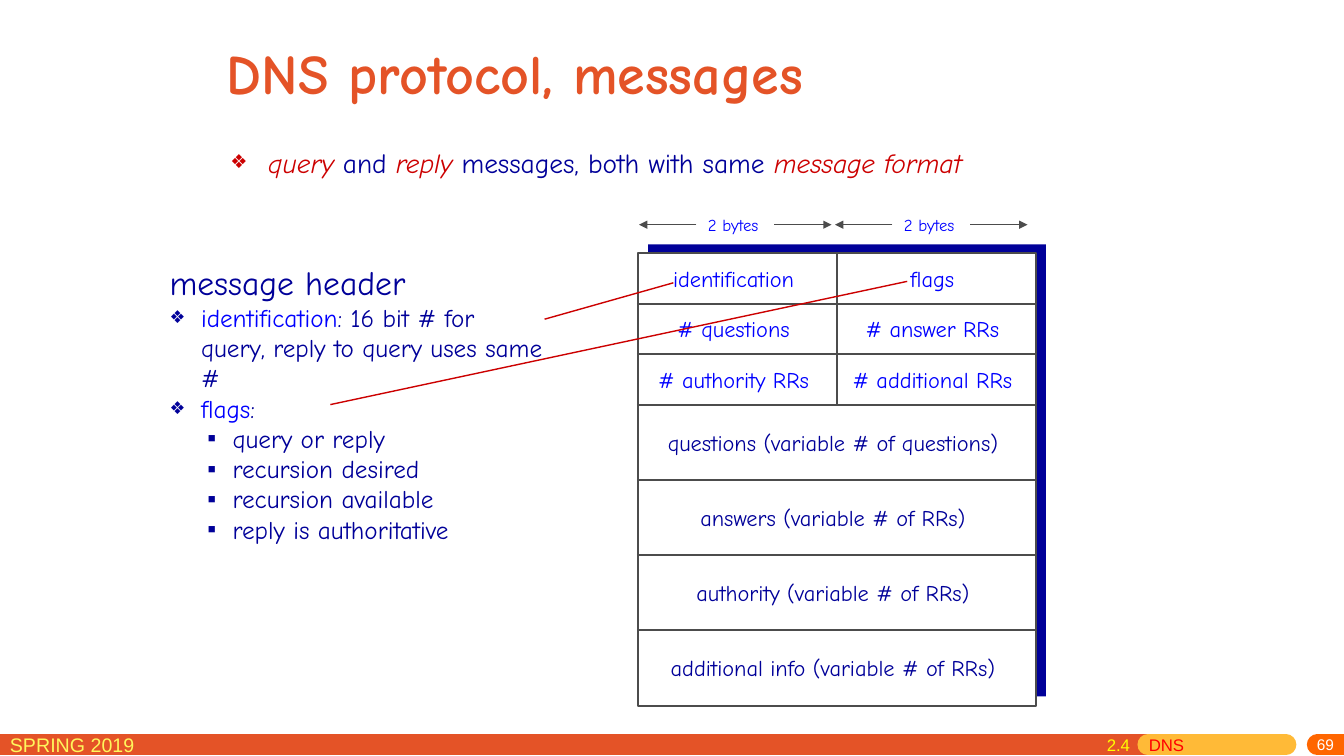
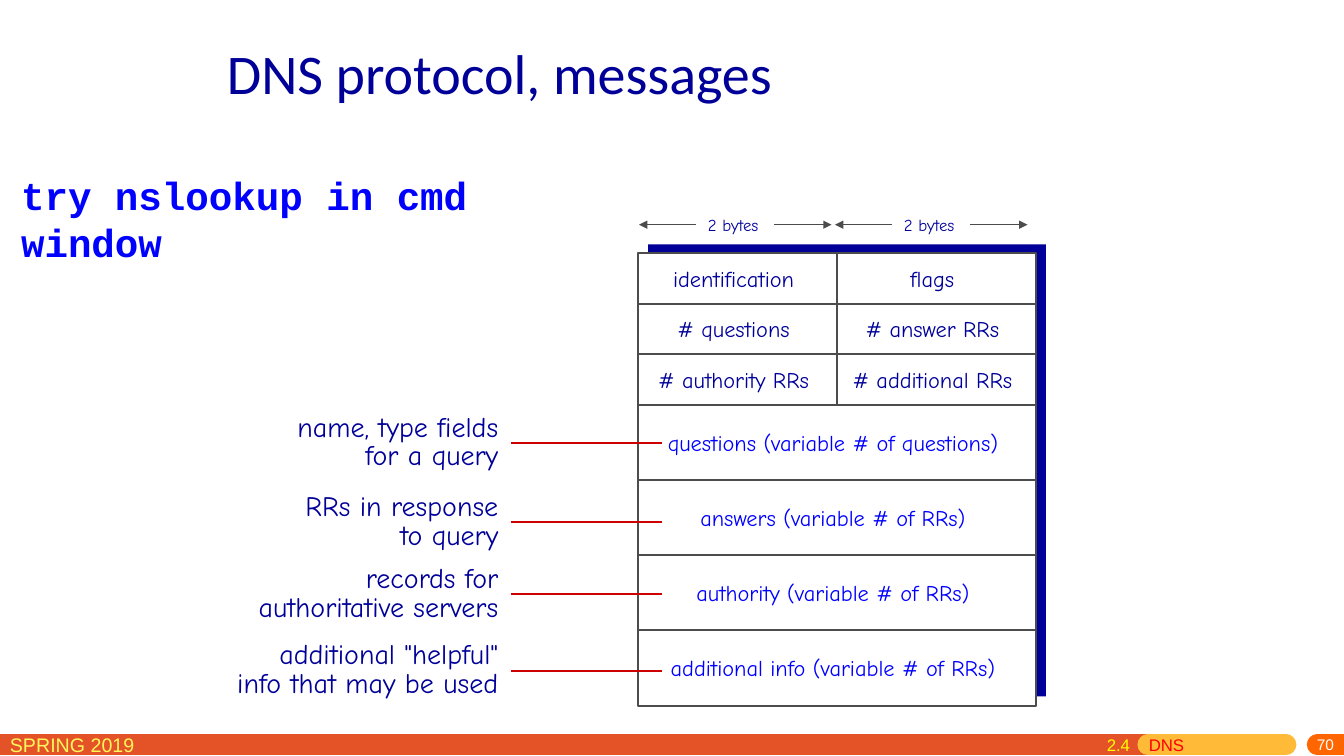
"""Builds two slides on the DNS message format."""
from lxml import etree
from pptx import Presentation
from pptx.dml.color import RGBColor
from pptx.enum.shapes import MSO_CONNECTOR, MSO_SHAPE
from pptx.enum.text import MSO_ANCHOR, PP_ALIGN
from pptx.oxml.ns import qn
from pptx.util import Pt

STRAIGHT, RECTANGLE = MSO_CONNECTOR.STRAIGHT, MSO_SHAPE.RECTANGLE
TOP, MIDDLE = MSO_ANCHOR.TOP, MSO_ANCHOR.MIDDLE
LEFT, CENTER, RIGHT = PP_ALIGN.LEFT, PP_ALIGN.CENTER, PP_ALIGN.RIGHT
SIDE_TOP, SIDE_LEFT, SIDE_RIGHT = 0, 1, 3

COMIC, ARIAL, CALIBRI, COURIER = "Comic Neue", "Arial", "Calibri", "Courier New"
NAVY, BLUE, RED, GRAY, ORANGE, WHITE = (
    "000099", "0000FF", "CC0000", "4C4C4C", "E45327", "FFFFFF")

TITLE = "DNS protocol, messages"
TERM = {"color": RED, "italic": True}
HIGHLIGHT = {"color": BLUE}
SUMMARY = [("query ", TERM), ("and ", {}), ("reply", TERM),
           (" messages, both with same ", {}), ("message format", TERM)]
HEADER_NOTES = [
    ([("message header", {"size": 24})], None),
    ([("identification", HIGHLIGHT),
      (": 16 bit # for query, reply to query uses same #", {})], "item"),
    ([("flags", HIGHLIGHT), (":", {})], "item"),
    ("query or reply", "subitem"),
    ("recursion desired", "subitem"),
    ("recursion available", "subitem"),
    ("reply is authoritative", "subitem"),
]
HEADER_ROWS = [("identification", "flags"), ("# questions", "# answer RRs"),
               ("# authority RRs", "# additional RRs")]
BODY_ROWS = [("questions (variable # of questions)",),
             ("answers (variable # of RRs)",),
             ("authority (variable # of RRs)",),
             ("additional info (variable # of RRs)",)]
COMMAND = "try nslookup in cmd window"
CAPTIONS = [
    (316.5, ["name, type fields", "for a query"]),
    (373, ["RRs in response", "to query"]),
    (424.5, ["records for", "authoritative servers"]),
    (479, ['additional "helpful"', "info that may be used"]),
]
HEADER_POINTERS = [((389, 228), (481, 202)), ((236, 289), (648, 201))]

BULLETS = {
    "summary": {"char": "❖", "percent": 70, "color": RED, "left": 27, "hang": 27},
    "item": {"char": "❖", "percent": 70, "color": NAVY, "left": 22.5, "hang": 22.5},
    "subitem": {"char": "▪", "percent": 100, "color": NAVY, "left": 45, "hang": 18},
}
FOOTER_BANDS = [(0, 820, ORANGE), (820, 918.5, "FFBA37"), (941, 960, "FF6600")]
FOOTER_Y = 532
TITLE_BOX = (155, 17.5, 612, 67.5)
GRID_LEFT, GRID_TOP, COLUMN_WIDTH = 456, 181, 142
HEADER_HEIGHT, BODY_HEIGHT = 36, 53.75
ARROW_LENGTH = 41


def rgb(value):
    return RGBColor.from_string(value)


def write(slide, box, paragraphs, size=16, color=NAVY, font=COMIC, bold=False,
          align=LEFT, anchor=TOP, spacing=None, margins=(7.2, 3.6, 7.2, 3.6)):
    label = slide.shapes.add_textbox(*map(Pt, box))
    frame = label.text_frame
    frame.word_wrap = True
    frame.vertical_anchor = anchor
    (frame.margin_left, frame.margin_top,
     frame.margin_right, frame.margin_bottom) = map(Pt, margins)
    for index, content in enumerate(paragraphs):
        paragraph = frame.add_paragraph() if index else frame.paragraphs[0]
        paragraph.alignment = align
        if spacing:
            paragraph.line_spacing = spacing
        runs = [(content, {})] if isinstance(content, str) else content
        for words, style in runs:
            run = paragraph.add_run()
            run.text = words
            run.font.name = font
            run.font.size = Pt(style.get("size", size))
            run.font.bold = bold
            run.font.italic = style.get("italic", False)
            run.font.color.rgb = rgb(style.get("color", color))
    return label


def add_bullet(paragraph, char, percent, color, left, hang):
    properties = paragraph._p.get_or_add_pPr()
    properties.set("marL", str(Pt(left)))
    properties.set("indent", str(-Pt(hang)))
    tint = etree.SubElement(properties, qn("a:buClr"))
    etree.SubElement(tint, qn("a:srgbClr"), val=color)
    etree.SubElement(properties, qn("a:buSzPct"), val=str(percent * 1000))
    etree.SubElement(properties, qn("a:buFont"), typeface=ARIAL)
    etree.SubElement(properties, qn("a:buChar"), char=char)


def draw_line(slide, start, end, color=GRAY, width=1.5, arrow=False, rounded=False):
    line = slide.shapes.add_connector(STRAIGHT, *map(Pt, (*start, *end)))
    line.line.color.rgb = rgb(color)
    line.line.width = Pt(width)
    outline = line.element.spPr.find(qn("a:ln"))
    if rounded:
        outline.set("cap", "rnd")
    if arrow:
        etree.SubElement(outline, qn("a:tailEnd"), type="triangle")
    etree.SubElement(line.element.spPr, qn("a:effectLst"))
    return line


def draw_panel(slide, box, fill, border=None):
    panel = slide.shapes.add_shape(RECTANGLE, *map(Pt, box))
    panel.shadow.inherit = False
    panel.fill.solid()
    panel.fill.fore_color.rgb = rgb(fill)
    if border:
        panel.line.color.rgb = rgb(border)
        panel.line.width = Pt(1.5)
    else:
        panel.line.fill.background()
    return panel


def draw_footer(slide, number):
    for start, end, color in FOOTER_BANDS:
        draw_line(slide, (start, FOOTER_Y), (end, FOOTER_Y), color, 15, rounded=True)
    write(slide, (0, 520, 165, 22), ["SPRING 2019"], 14, "FFF65C", ARIAL)
    write(slide, (774, 527, 186, 13), [str(number)], 11, WHITE, ARIAL,
          align=RIGHT, anchor=MIDDLE, margins=(7.2, 0, 7.2, 3.6))
    section = write(slide, (783.5, 521.5, 150, 22),
                    [[("2.4\t", {"color": "FFFF00"}), ("DNS", {"color": "FF0000"})]],
                    12, font=ARIAL)
    properties = section.text_frame.paragraphs[0]._p.get_or_add_pPr()
    stops = etree.SubElement(properties, qn("a:tabLst"))
    etree.SubElement(stops, qn("a:tab"), pos=str(Pt(30)), algn="l")


def draw_message(slide, header_color, body_color):
    rows = ([(cells, HEADER_HEIGHT, header_color) for cells in HEADER_ROWS]
            + [(cells, BODY_HEIGHT, body_color) for cells in BODY_ROWS])
    width = 2 * COLUMN_WIDTH
    height = sum(row_height for _, row_height, _ in rows)
    draw_panel(slide, (GRID_LEFT + 7, GRID_TOP - 6.5, width, height), NAVY)
    grid = draw_panel(slide, (GRID_LEFT, GRID_TOP, width, height), WHITE, GRAY)
    middle = GRID_LEFT + COLUMN_WIDTH
    divider = draw_line(slide, (middle, GRID_TOP),
                        (middle, GRID_TOP + HEADER_HEIGHT * len(HEADER_ROWS)))
    divider.begin_connect(grid, SIDE_TOP)
    top = GRID_TOP
    for index, (cells, row_height, color) in enumerate(rows):
        if index:
            draw_line(slide, (GRID_LEFT - 1, top), (GRID_LEFT + width + 1, top))
        cell_width = width / len(cells)
        for column, cell in enumerate(cells):
            write(slide, (GRID_LEFT + column * cell_width, top, cell_width, row_height),
                  [cell], color=color, align=CENTER, anchor=MIDDLE,
                  margins=(0, 0, 6, 0))
        top += row_height


def draw_widths(slide, color):
    y = 160.5
    for left in (497.5, 637.5):
        right = left + 55.5
        width_label = write(slide, (left, y - 11, right - left, 22), ["2 bytes"], 12,
                            color, align=CENTER, anchor=MIDDLE, margins=(0, 0, 3, 0))
        for edge, tip, side in ((right, right + ARROW_LENGTH, SIDE_RIGHT),
                                (left, left - ARROW_LENGTH, SIDE_LEFT)):
            arrow = draw_line(slide, (edge, y), (tip, y), width=0.75, arrow=True)
            arrow.begin_connect(width_label, side)


def start_slide(deck, number, header_color, body_color, **title_style):
    slide = deck.slides.add_slide(deck.slide_layouts[6])
    draw_footer(slide, number)
    write(slide, TITLE_BOX, [TITLE], 40, anchor=MIDDLE, **title_style)
    draw_message(slide, header_color, body_color)
    draw_widths(slide, header_color)
    return slide


def build_header_slide(deck):
    slide = start_slide(deck, 69, BLUE, NAVY, color=ORANGE, bold=True)
    summary = write(slide, (157.5, 105, 615.5, 40), [SUMMARY], 19.6, spacing=0.8)
    paragraph = summary.text_frame.paragraphs[0]
    paragraph.space_before = Pt(4)
    add_bullet(paragraph, **BULLETS["summary"])
    notes = write(slide, (114, 183.5, 281.5, 302.5),
                  [content for content, _ in HEADER_NOTES], 18)
    for paragraph, (_, level) in zip(notes.text_frame.paragraphs, HEADER_NOTES):
        if level:
            add_bullet(paragraph, **BULLETS[level])
    for start, end in HEADER_POINTERS:
        draw_line(slide, start, end, RED, 1)


def build_body_slide(deck):
    slide = start_slide(deck, 70, NAVY, BLUE, color=NAVY, font=CALIBRI)
    write(slide, (8, 119, 432, 41), [COMMAND], 28, BLUE, COURIER, bold=True)
    for y, lines in CAPTIONS:
        caption = write(slide, (145, y - 24, 220, 48), lines, 20, align=RIGHT,
                        anchor=MIDDLE, spacing=0.85, margins=(7.2, 3.6, 9, 3.6))
        pointer = draw_line(slide, (473, y), (365, y), RED)
        pointer.end_connect(caption, SIDE_RIGHT)


def main():
    deck = Presentation()
    deck.slide_width, deck.slide_height = Pt(960), Pt(540)
    build_header_slide(deck)
    build_body_slide(deck)
    deck.save("out.pptx")


if __name__ == "__main__":
    main()
